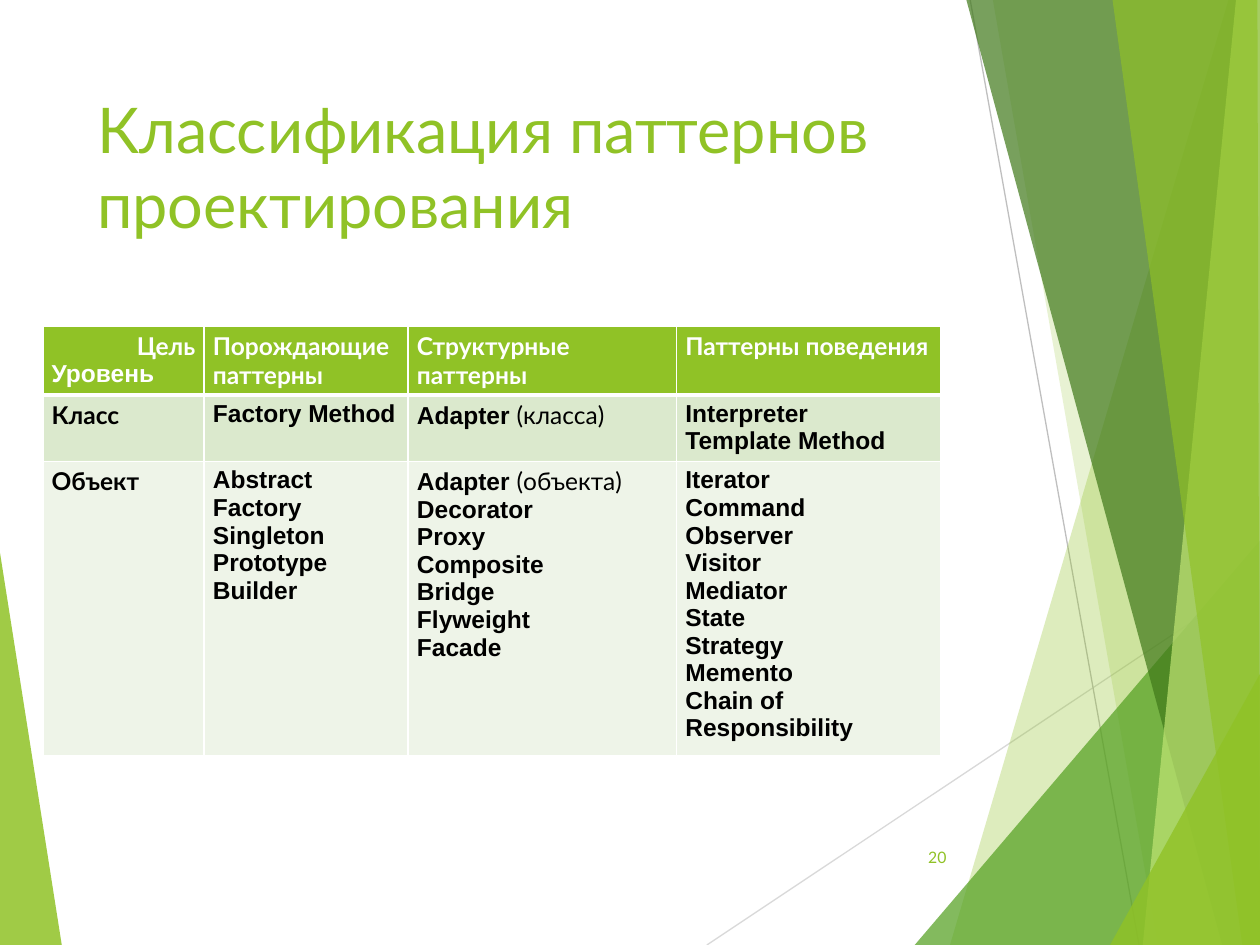
import dataclasses
import typing

import lxml.etree
import pptx
import pptx.dml.color
import pptx.enum.shapes
import pptx.enum.text
import pptx.oxml.ns
import pptx.util

WIDTH, HEIGHT = pptx.util.Inches(10), pptx.util.Inches(7.5)
HEADING_FONT, PATTERN_FONT = "Lato", "Arial"
COLORS = {
    "lime": "90C226",
    "green": "54A021",
    "forest": "3F7819",
    "pale": "C0E474",
    "light_line": "D9D9D9",
    "grey_line": "BFBFBF",
    "class_row": "DBE9CD",
    "object_row": "EEF4E8",
    "white": "FFFFFF",
    "black": "000000",
}
Point = tuple[float, float]


@dataclasses.dataclass
class Facet:
    """A translucent polygon; corners are shares of the slide's size."""
    color: str
    opacity: int
    corners: list[Point]


@dataclasses.dataclass
class Ray:
    color: str
    start: Point
    end: Point


@dataclasses.dataclass
class Entry:
    """One paragraph of a table cell, with an optional regular-weight note."""
    text: str
    font: str = PATTERN_FONT
    note: str = ""
    align_right: bool = False


@dataclasses.dataclass
class Level:
    """One table row."""
    height: float
    fill: str
    ink: str
    cells: list[list[Entry]]


RAYS = [
    Ray("light_line", (0.561, 1), (1, 0.61)),
    Ray("grey_line", (0.77, 0), (0.904, 1)),
]
FACETS = [
    Facet("lime", 85, [(0, 0.585), (0.049, 1), (0, 1)]),
    Facet("lime", 30, [(0.975, 0), (0.754, 1), (1, 1), (1, 0)]),
    Facet("lime", 20, [(0.788, 0), (0.919, 1), (1, 1), (1, 0)]),
    Facet("green", 72, [(0.726, 1), (1, 0.572), (1, 1)]),
    Facet("forest", 70, [(0.767, 0), (0.97, 1), (1, 1), (1, 0)]),
    Facet("pale", 70, [(0.981, 0), (0.907, 1), (1, 1), (1, 0)]),
    Facet("lime", 65, [(0.883, 0), (0.986, 1), (1, 1), (0.998, 0)]),
    Facet("lime", 80, [(0.881, 1), (1, 0.713), (1, 1)]),
]


def headings(*texts: str) -> list[Entry]:
    return [Entry(text, HEADING_FONT) for text in texts]


def patterns(*names: str) -> list[Entry]:
    return [Entry(name) for name in names]


COLUMN_SHARES = [0.128, 0.162, 0.213, 0.21]
LEVELS = [
    Level(0.53, "lime", "white", [
        [Entry("Цель", HEADING_FONT, align_right=True), Entry("Уровень")],
        headings("Порождающие паттерны"),
        headings("Структурные паттерны"),
        headings("Паттерны поведения"),
    ]),
    Level(0.53, "class_row", "black", [
        headings("Класс"),
        patterns("Factory Method"),
        [Entry("Adapter ", note="(класса)")],
        patterns("Interpreter", "Template Method"),
    ]),
    Level(2.33, "object_row", "black", [
        headings("Объект"),
        patterns("Abstract Factory", "Singleton", "Prototype", "Builder"),
        [Entry("Adapter ", note="(объекта)"),
         *patterns("Decorator", "Proxy", "Composite", "Bridge", "Flyweight", "Facade")],
        patterns("Iterator", "Command", "Observer", "Visitor", "Mediator", "State",
                 "Strategy", "Memento", "Chain of Responsibility"),
    ]),
]


def rgb(name: str) -> pptx.dml.color.RGBColor:
    return pptx.dml.color.RGBColor.from_string(COLORS[name])


def on_slide(point: Point) -> tuple[int, int]:
    return round(point[0] * WIDTH), round(point[1] * HEIGHT)


def child(parent: typing.Any, tag: str, **attributes: str) -> typing.Any:
    return lxml.etree.SubElement(parent, pptx.oxml.ns.qn(tag), attributes)


def style(run: typing.Any, font: str, size: float, color: str, bold: bool = False) -> None:
    run.font.name = font
    run.font.size = pptx.util.Pt(size)
    run.font.bold = bold
    run.font.color.rgb = rgb(color)


def draw_facet(slide: typing.Any, facet: Facet) -> None:
    first, *others = map(on_slide, facet.corners)
    builder = slide.shapes.build_freeform(*first)
    builder.add_line_segments(others, close=True)
    shape = builder.convert_to_shape()
    shape.shadow.inherit = False
    shape.line.fill.background()
    shape.fill.solid()
    shape.fill.fore_color.rgb = rgb(facet.color)
    tint = shape.fill._xPr.find(".//" + pptx.oxml.ns.qn("a:srgbClr"))
    child(tint, "a:alpha", val=str(facet.opacity * 1000))


def draw_ray(slide: typing.Any, ray: Ray) -> None:
    line = slide.shapes.add_connector(
        pptx.enum.shapes.MSO_CONNECTOR.STRAIGHT, *on_slide(ray.start), *on_slide(ray.end))
    line.line.color.rgb = rgb(ray.color)
    line.line.width = pptx.util.Pt(0.75)
    child(line._element.spPr, "a:effectLst")


def draw_borders(cell: typing.Any, top: float, bottom: float) -> None:
    properties = cell._tc.get_or_add_tcPr()
    for side, points in (("L", 1), ("R", 1), ("T", top), ("B", bottom)):
        border = child(properties, f"a:ln{side}", w=str(pptx.util.Pt(points)))
        child(child(border, "a:solidFill"), "a:srgbClr", val=COLORS["white"])


def fill_cell(cell: typing.Any, entries: list[Entry], level: Level) -> None:
    cell.fill.solid()
    cell.fill.fore_color.rgb = rgb(level.fill)
    cell.margin_left = cell.margin_right = pptx.util.Inches(0.07)
    cell.margin_top = cell.margin_bottom = pptx.util.Inches(0.04)
    cell.text_frame.text = "\n".join(entry.text for entry in entries)
    for paragraph, entry in zip(cell.text_frame.paragraphs, entries):
        style(paragraph.runs[0], entry.font, 14, level.ink, bold=True)
        if entry.align_right:
            paragraph.alignment = pptx.enum.text.PP_ALIGN.RIGHT
        if entry.note:
            note = paragraph.add_run()
            note.text = entry.note
            style(note, HEADING_FONT, 14, level.ink)


def draw_classification(slide: typing.Any) -> None:
    table = slide.shapes.add_table(
        len(LEVELS), len(COLUMN_SHARES), *on_slide((0.034, 0.345)),
        round(sum(COLUMN_SHARES) * WIDTH),
        pptx.util.Inches(sum(level.height for level in LEVELS))).table
    for column, share in zip(table.columns, COLUMN_SHARES):
        column.width = round(share * WIDTH)
    for index, level in enumerate(LEVELS):
        table.rows[index].height = pptx.util.Inches(level.height)
        for cell, entries in zip(table.rows[index].cells, level.cells):
            draw_borders(cell, top=3 if index == 1 else 1, bottom=3 if index == 0 else 1)
            fill_cell(cell, entries, level)


def write_title(slide: typing.Any) -> None:
    title = slide.shapes.title
    title.left, title.top = on_slide((0.067, 0.089))
    title.width, title.height = on_slide((0.694, 0.192))
    frame = title.text_frame
    frame.text = "Классификация паттернов проектирования"
    frame.word_wrap = True
    frame.vertical_anchor = pptx.enum.text.MSO_ANCHOR.TOP
    frame.paragraphs[0].alignment = pptx.enum.text.PP_ALIGN.LEFT
    style(frame.paragraphs[0].runs[0], HEADING_FONT, 36, "lime")


def write_page_number(slide: typing.Any) -> None:
    frame = slide.shapes.add_textbox(
        *on_slide((0.705, 0.881)), *on_slide((0.056, 0.053))).text_frame
    frame.text = "20"
    frame.word_wrap = True
    frame.vertical_anchor = pptx.enum.text.MSO_ANCHOR.MIDDLE
    frame.paragraphs[0].alignment = pptx.enum.text.PP_ALIGN.RIGHT
    style(frame.paragraphs[0].runs[0], HEADING_FONT, 9, "lime")


def main() -> None:
    deck = pptx.Presentation()
    deck.slide_width, deck.slide_height = WIDTH, HEIGHT
    slide = deck.slides.add_slide(deck.slide_layouts.get_by_name("Title Only"))
    for ray in RAYS:
        draw_ray(slide, ray)
    for facet in FACETS:
        draw_facet(slide, facet)
    write_title(slide)
    draw_classification(slide)
    write_page_number(slide)
    deck.save("out.pptx")


if __name__ == "__main__":
    main()
